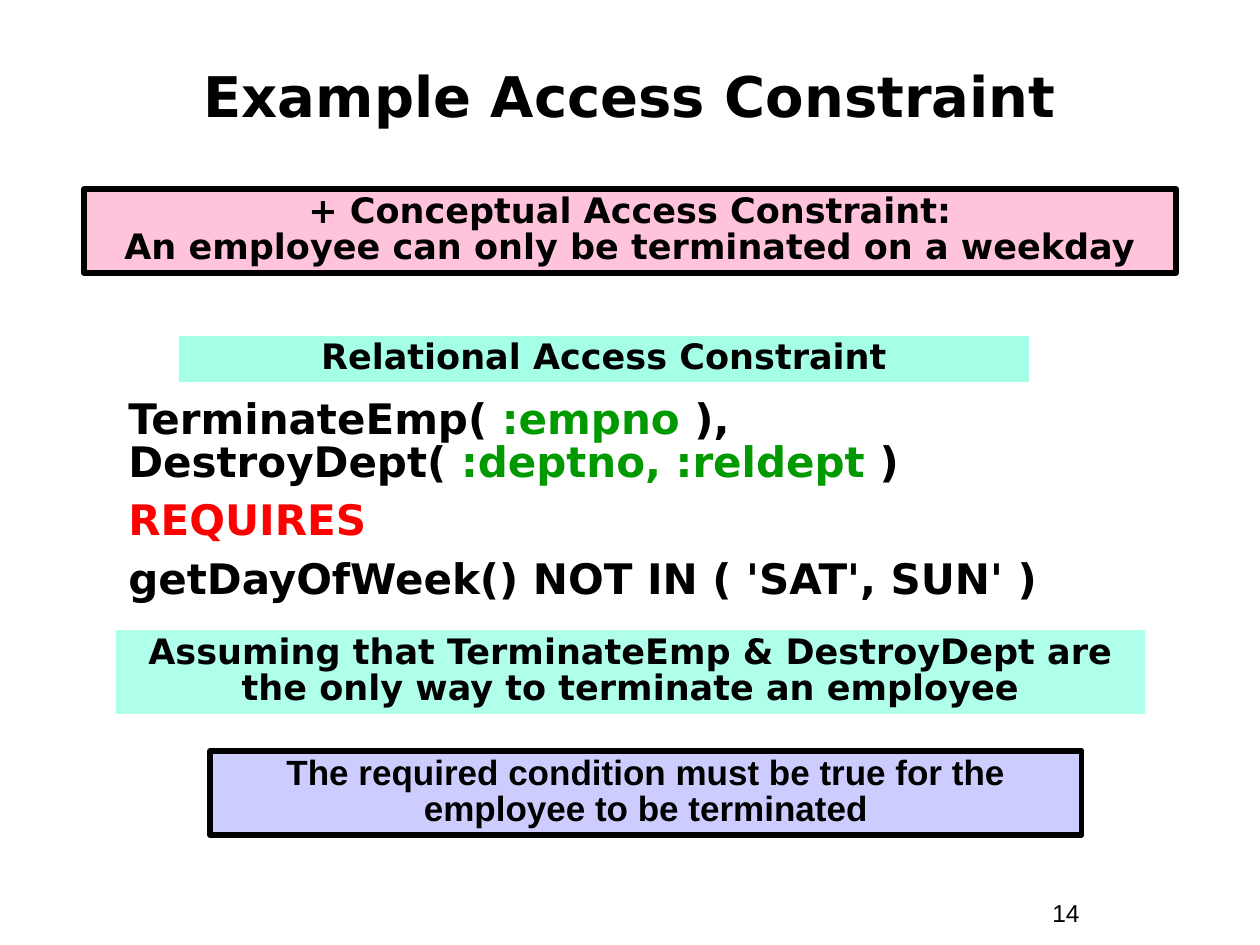
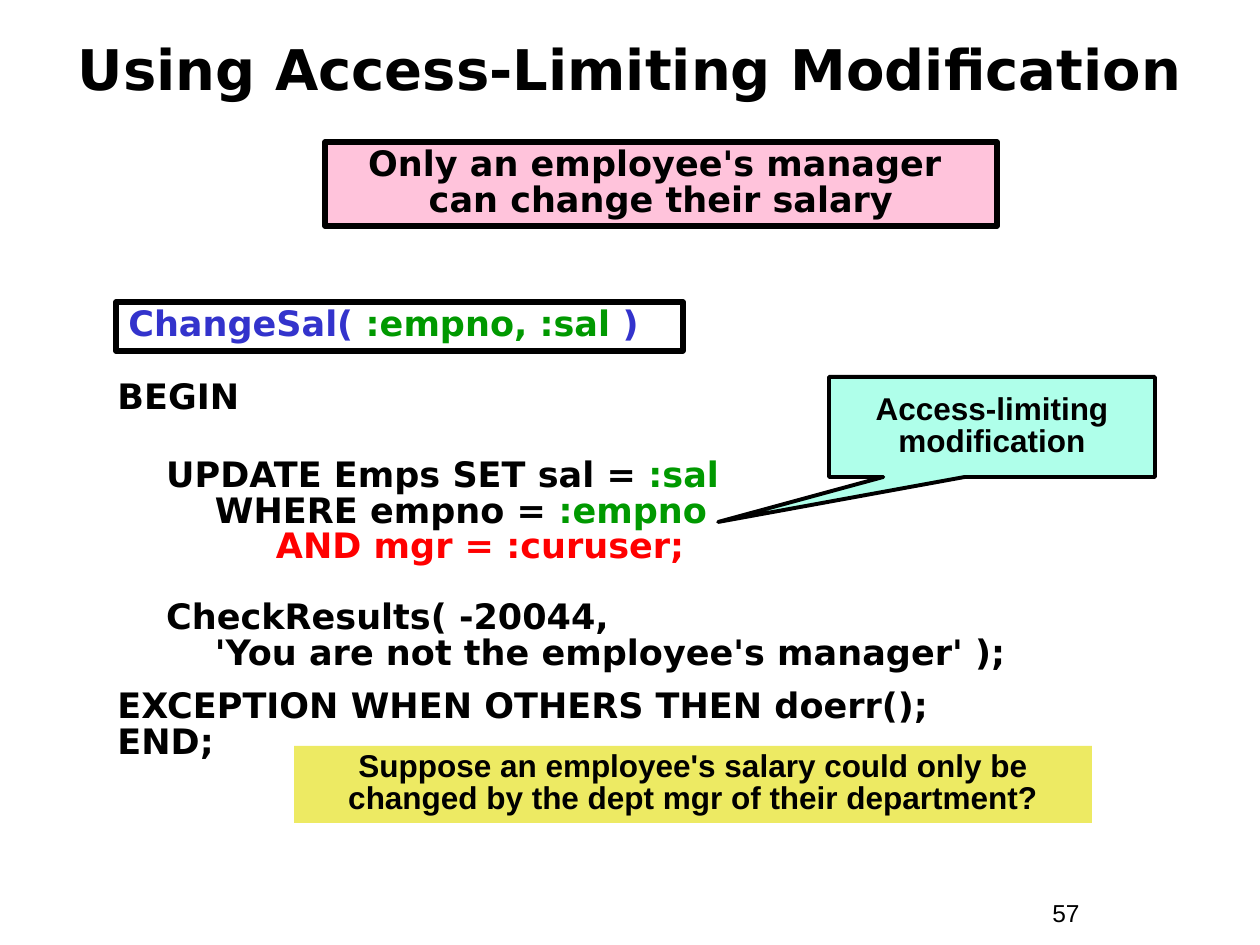
from collections import namedtuple
from dataclasses import dataclass

from pptx import Presentation
from pptx.dml.color import RGBColor
from pptx.enum.shapes import MSO_SHAPE as Preset
from pptx.enum.text import MSO_ANCHOR as Anchor, PP_ALIGN as Align
from pptx.util import Emu, Inches, Pt

SLIDE_WIDTH, SLIDE_HEIGHT = 1260, 945
SCALE = Inches(10) / SLIDE_WIDTH

Box = namedtuple("Box", "left top width height")
Line = namedtuple("Line", "runs space", defaults=[0])


@dataclass(frozen=True)
class Theme:
    ink: str = "000000"
    variable: str = "009900"
    keyword: str = "FF0000"
    procedure: str = "3333CC"
    rule: str = "FFC3DB"
    mint: str = "AFFFEA"
    label: str = "A5FFE7"
    remark: str = "CCCCFF"
    question: str = "EDEA63"
    display: str = "DejaVu Sans"
    plain: str = "Arial"
    title: int = 32
    statement: int = 24
    body: int = 20
    small: int = 18
    number: int = 14
    spacing: float = 0.85
    border: float = 3


THEME = Theme()


def px(length):
    return Emu(round(length * SCALE))


def inside(area, left, top, width, height):
    return Box(area.left + left, area.top + top, width, height)


def plain_lines(text):
    return [Line([(line, THEME.ink)]) for line in text.split("\n")]


def write(shape, lines, size=THEME.body, font=THEME.display, bold=True,
          align=Align.LEFT, anchor=Anchor.TOP, spacing=THEME.spacing):
    frame = shape.text_frame
    frame.word_wrap = True
    frame.vertical_anchor = anchor
    for index, line in enumerate(lines):
        paragraph = frame.add_paragraph() if index else frame.paragraphs[0]
        paragraph.alignment = align
        paragraph.line_spacing = spacing
        paragraph.space_before = Pt(line.space)
        for text, colour in line.runs:
            run = paragraph.add_run()
            run.text = text
            run.font.name = font
            run.font.size = Pt(size)
            run.font.bold = bold
            run.font.color.rgb = RGBColor.from_string(colour)


def add_text(slide, box, lines, **style):
    shape = slide.shapes.add_textbox(*map(px, box))
    write(shape, lines, **style)


def add_panel(slide, box, lines, fill=None, border=0, preset=Preset.RECTANGLE,
              align=Align.CENTER, **style):
    shape = slide.shapes.add_shape(preset, *map(px, box))
    shape.shadow.inherit = False
    if fill:
        shape.fill.solid()
        shape.fill.fore_color.rgb = RGBColor.from_string(fill)
    else:
        shape.fill.background()
    if border:
        shape.line.color.rgb = RGBColor.from_string(THEME.ink)
        shape.line.width = Pt(border)
    else:
        shape.line.fill.background()
    write(shape, lines, align=align, **style)
    return shape


def add_frame(presentation, title, title_top, number, title_spacing):
    slide = presentation.slides.add_slide(presentation.slide_layouts[6])
    add_text(slide, Box(1040, 892, 116, 43), plain_lines(number),
             size=THEME.number, font=THEME.plain, bold=False, spacing=1.0)
    add_text(slide, Box(21, title_top, 1218, 116), plain_lines(title),
             size=THEME.title, align=Align.CENTER, anchor=Anchor.MIDDLE,
             spacing=title_spacing)
    return slide


def add_rule(slide, box, text):
    add_panel(slide, box, plain_lines(text), THEME.rule, THEME.border)


def add_relational_constraint(slide, area):
    ink, variable = THEME.ink, THEME.variable
    add_panel(slide, inside(area, 63, 0, 850, 46),
              plain_lines("Relational Access Constraint"), THEME.label, spacing=0.8)
    add_text(slide, inside(area, 0, 58, area.width, 215), [
        Line([("TerminateEmp( ", ink), (":empno", variable), (" ),", ink)]),
        Line([("DestroyDept( ", ink), (":deptno, :reldept", variable), (" )", ink)]),
        Line([("REQUIRES", THEME.keyword)], 9),
        Line([("getDayOfWeek() NOT IN ( 'SAT', SUN' )", ink)], 9),
    ], size=THEME.statement)
    add_panel(slide, inside(area, 0, 294, area.width, 84), plain_lines(
        "Assuming that TerminateEmp & DestroyDept are the only way to terminate an employee"),
        THEME.mint)


def add_procedure(slide, area):
    ink, variable, procedure = THEME.ink, THEME.variable, THEME.procedure
    add_text(slide, inside(area, 0, 73, area.width, 394), [
        Line([("BEGIN", ink)]),
        Line([("    UPDATE Emps SET sal = ", ink), (":sal", variable)], 24),
        Line([("        WHERE empno = ", ink), (":empno", variable)]),
        Line([("             AND mgr = :curuser;", THEME.keyword)]),
        Line([("    CheckResults( -20044,", ink)], 20),
        Line([("        'You are not the employee's manager' );", ink)]),
        Line([("EXCEPTION WHEN OTHERS THEN doerr();", ink)], 10),
        Line([("END;", ink)]),
    ])
    add_panel(slide, inside(area, 11, 0, 567, 49), [
        Line([("ChangeSal( ", procedure), (":empno, :sal ", variable), (")", procedure)]),
    ], border=THEME.border, align=Align.LEFT)
    callout = add_panel(slide, inside(area, 724, 75, 326, 100),
                        plain_lines("Access-limiting modification"), THEME.mint, 2.25,
                        Preset.RECTANGULAR_CALLOUT, size=THEME.small,
                        font=THEME.plain, anchor=Anchor.MIDDLE)
    callout.adjustments[0] = -0.84
    callout.adjustments[1] = 0.95


def build_constraint_slide(presentation):
    slide = add_frame(presentation, "Example Access Constraint", 42, "14", THEME.spacing)
    add_relational_constraint(slide, Box(116, 336, 1029, 378))
    add_panel(slide, Box(210, 751, 872, 84), plain_lines(
        "The required condition must be true for the employee to be terminated"),
        THEME.remark, THEME.border, font=THEME.plain)
    add_rule(slide, Box(84, 189, 1092, 84),
             "+ Conceptual Access Constraint:\nAn employee can only be terminated on a weekday")


def build_modification_slide(presentation):
    slide = add_frame(presentation, "Using Access-Limiting Modification", 10, "57", 1.0)
    add_procedure(slide, Box(105, 302, 1102, 467))
    add_rule(slide, Box(325, 142, 672, 84),
             "Only an employee's manager \ncan change their salary")
    add_panel(slide, Box(294, 746, 798, 77), plain_lines(
        "Suppose an employee's salary could only be changed by the dept mgr of their department?"),
        THEME.question, size=THEME.small, font=THEME.plain)


def main():
    presentation = Presentation()
    presentation.slide_width = px(SLIDE_WIDTH)
    presentation.slide_height = px(SLIDE_HEIGHT)
    build_constraint_slide(presentation)
    build_modification_slide(presentation)
    presentation.save("out.pptx")


if __name__ == "__main__":
    main()
